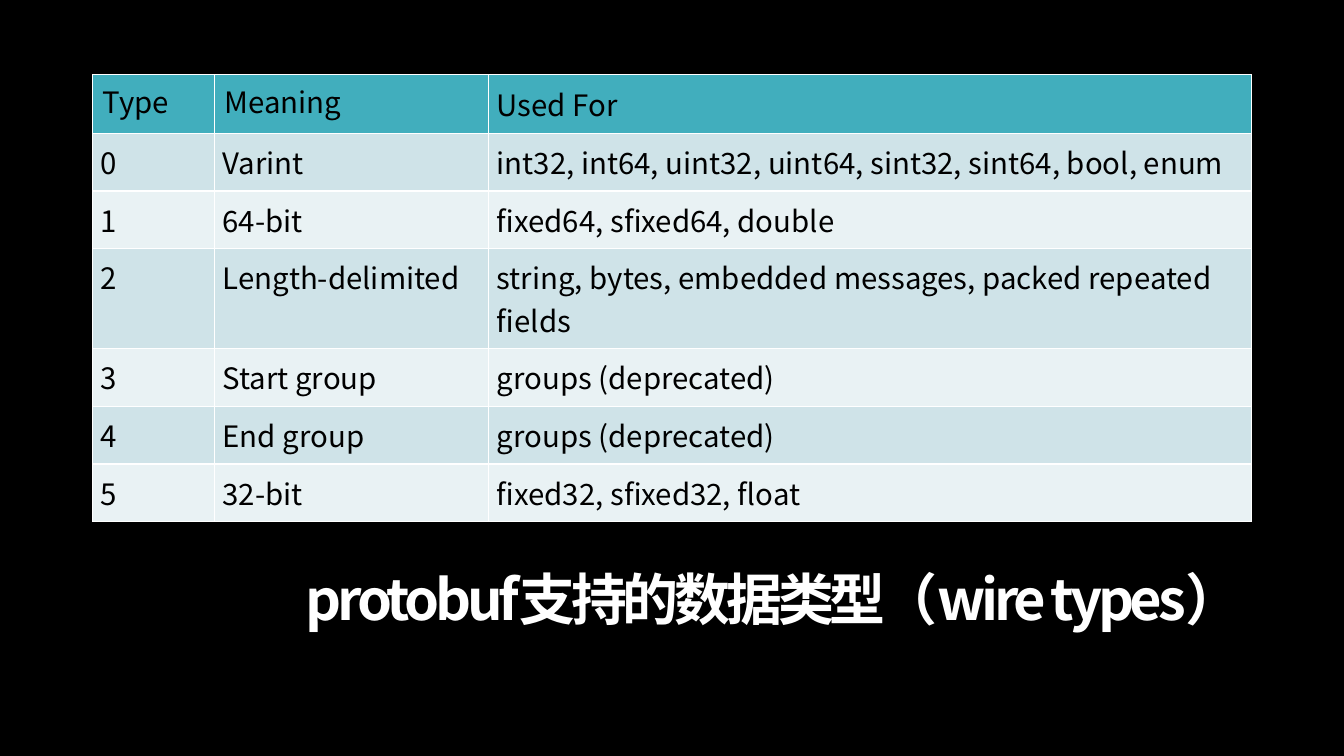
import pptx
import pptx.util
import pptx.dml.color
import pptx.enum.text
import pptx.oxml
import pptx.oxml.ns

Pt = pptx.util.Pt
FONT = "Noto Sans CJK SC"
HUES = {"back": "000000", "head": "41AEBD", "odd": "CFE3E8",
        "even": "E9F2F4", "ink": "000000", "white": "FFFFFF"}
TITLE = "protobuf支持的数据类型（wire types）"
ROWS = [
    ("Type", "Meaning", "Used For"),
    ("0", "Varint", "int32, int64, uint32, uint64, sint32, sint64, bool, enum"),
    ("1", "64-bit", "fixed64, sfixed64, double"),
    ("2", "Length-delimited", "string, bytes, embedded messages, packed repeated fields"),
    ("3", "Start group", "groups (deprecated)"),
    ("4", "End group", "groups (deprecated)"),
    ("5", "32-bit", "fixed32, sfixed32, float"),
]
WIDTHS = (87.1, 195.8, 545.1)
HEIGHTS = (40.3, 39.6, 39.6, 64.1, 39.6, 39.6, 39.6)
LEFT, TOP = 66.2, 53.3
HEAD_PAD = (7.2, 3.6, 7.2, 3.6)
LAST_PAD = (5.8, 5.8, 5.8, 5.8)
BODY_PAD = (5.8, 5, 5.8, 5.8)


def hue(name):
    return pptx.dml.color.RGBColor.from_string(HUES[name])


def style(para, size, name, bold):
    for run in para.runs:
        font = run.font
        font.size, font.bold, font.name = Pt(size), bold, FONT
        font.color.rgb = hue(name)
        east = pptx.oxml.parse_xml(
            f'<a:ea {pptx.oxml.ns.nsdecls("a")} typeface="{FONT}"/>')
        font._element.find(pptx.oxml.ns.qn("a:latin")).addnext(east)


def edge(cell):
    props = cell._tc.get_or_add_tcPr()
    for spot, side in enumerate(("lnL", "lnR", "lnT", "lnB")):
        props.insert(spot, pptx.oxml.parse_xml(
            f'<a:{side} {pptx.oxml.ns.nsdecls("a")} w="{Pt(1)}"><a:solidFill>'
            f'<a:srgbClr val="{HUES["white"]}"/></a:solidFill></a:{side}>'))


def add_title(slide):
    title = slide.shapes.title
    title.left, title.top = Pt(LEFT), Pt(405.4)
    title.width, title.height = Pt(sum(WIDTHS)), Pt(75.6)
    frame = title.text_frame
    frame.text = TITLE
    frame.word_wrap = False
    frame.auto_size = pptx.enum.text.MSO_AUTO_SIZE.NONE
    frame.vertical_anchor = pptx.enum.text.MSO_ANCHOR.TOP
    para = frame.paragraphs[0]
    para.alignment = pptx.enum.text.PP_ALIGN.RIGHT
    para.line_spacing = 0.9
    style(para, 40, "white", True)
    for run in para.runs:
        run.font._element.set("spc", "-300")


def add_types(slide):
    table = slide.shapes.add_table(
        len(ROWS), len(WIDTHS), Pt(LEFT), Pt(TOP),
        Pt(sum(WIDTHS)), Pt(sum(HEIGHTS))).table
    for col, width in zip(table.columns, WIDTHS):
        col.width = Pt(width)
    for r, (row, height) in enumerate(zip(ROWS, HEIGHTS)):
        table.rows[r].height = Pt(height)
        for c, text in enumerate(row):
            cell = table.cell(r, c)
            cell.text_frame.text = text
            style(cell.text_frame.paragraphs[0], 21, "ink", False)
            last = r == 0 and c == len(row) - 1
            pad = BODY_PAD if r else LAST_PAD if last else HEAD_PAD
            (cell.margin_left, cell.margin_top,
             cell.margin_right, cell.margin_bottom) = map(Pt, pad)
            if last:
                cell.vertical_anchor = pptx.enum.text.MSO_ANCHOR.MIDDLE
            cell.fill.solid()
            cell.fill.fore_color.rgb = hue(
                "head" if r == 0 else "odd" if r % 2 else "even")
            edge(cell)


def main():
    deck = pptx.Presentation()
    deck.slide_width, deck.slide_height = Pt(960), Pt(540)
    slide = deck.slides.add_slide(deck.slide_layouts[5])
    slide.background.fill.solid()
    slide.background.fill.fore_color.rgb = hue("back")
    add_title(slide)
    add_types(slide)
    deck.save("out.pptx")


if __name__ == "__main__":
    main()
